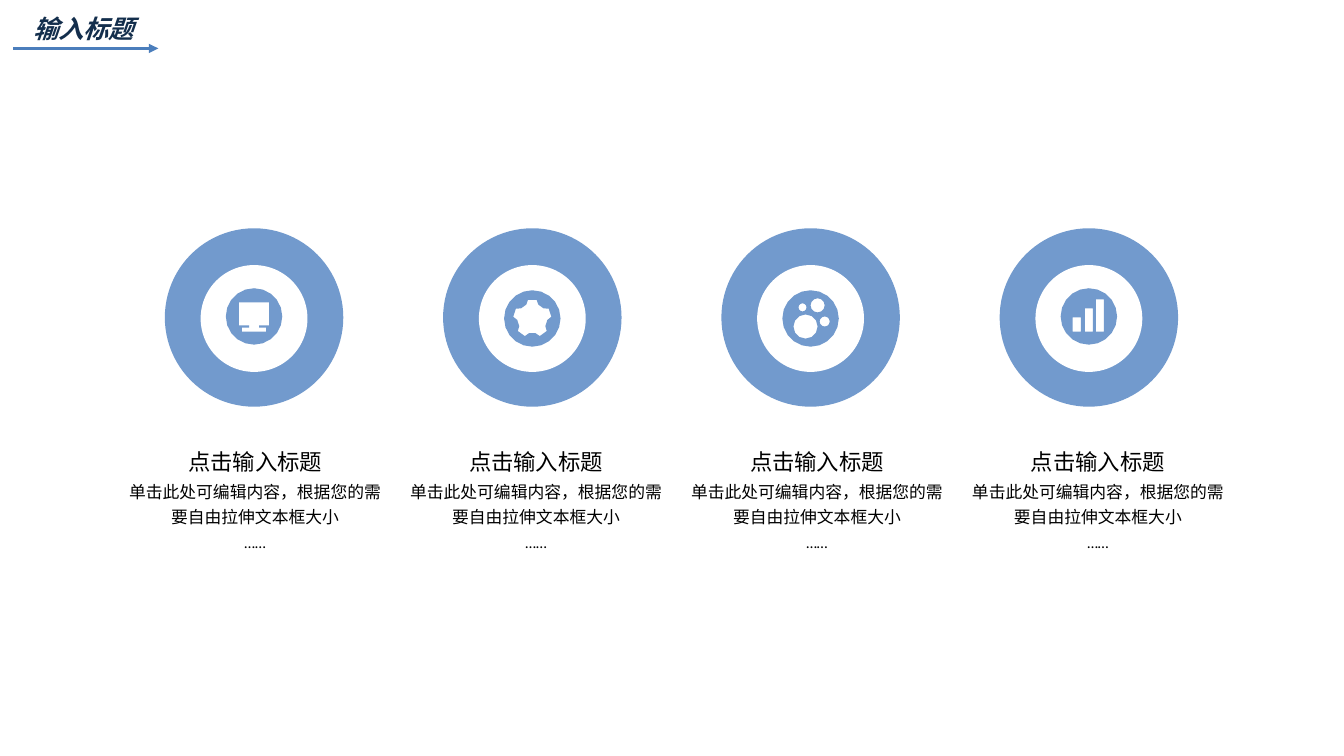
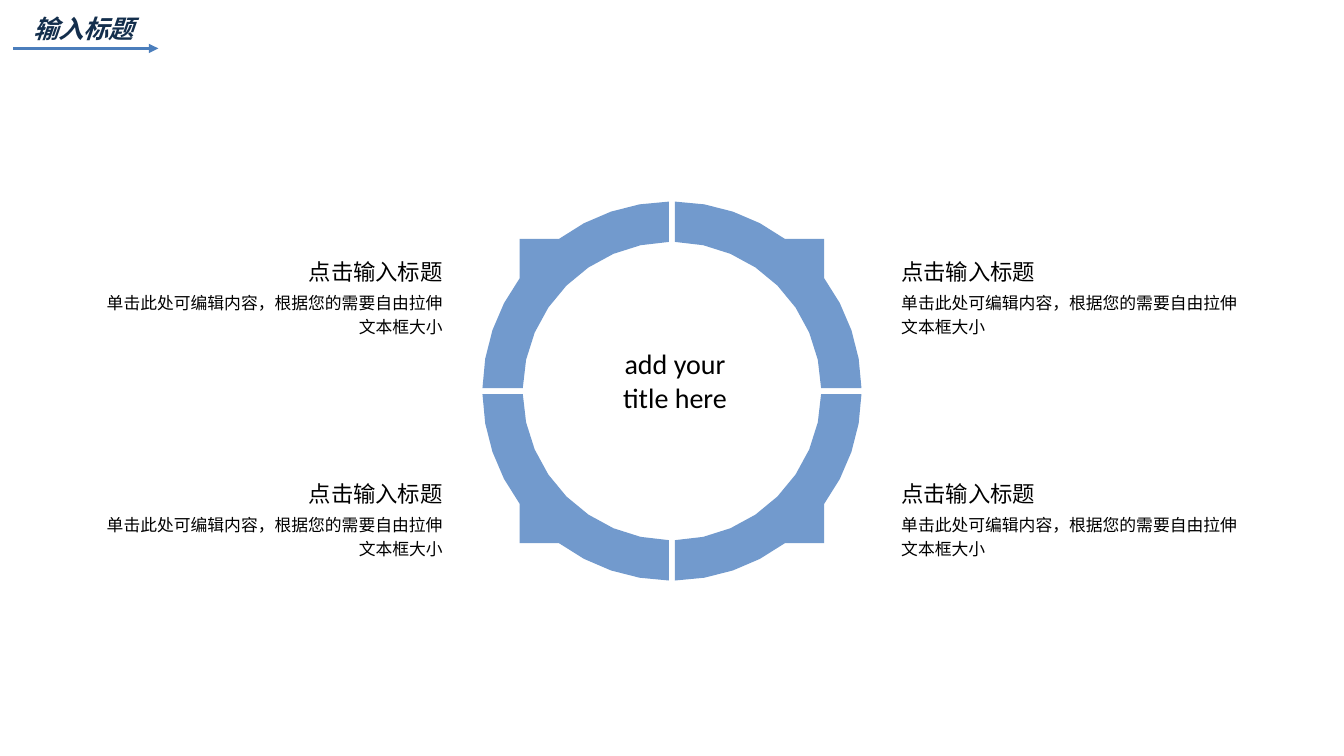
from math import acos, asin, cos, pi, radians, sin

from lxml import etree
from pptx import Presentation
from pptx.dml.color import RGBColor
from pptx.enum.shapes import MSO_CONNECTOR, MSO_SHAPE as SHAPE
from pptx.enum.text import MSO_ANCHOR, MSO_AUTO_SIZE as AUTO, PP_ALIGN as ALIGN
from pptx.oxml.ns import qn
from pptx.util import Inches, Pt

FONT = "Calibri"
COLORS = {"blue": "729ACD", "white": "FFFFFF", "arrow": "4B7EBC",
          "title": "132E4C", "text": "000000"}

TITLE = "输入标题"
CENTER_TEXT = "add your title here"
# Each paragraph is (text, size).
ENTRY = [("点击输入标题", 16),
         ("单击此处可编辑内容，根据您的需要自由拉伸文本框大小", 12)]
ENTRY_MORE = ENTRY + [("……", 11)]

# Icon measures are offsets from the badge center.
MONITOR_HALF = [(0.15, -0.14), (0.15, 0.09), (0.05, 0.09), (0.05, 0.11),
                (0.12, 0.11), (0.12, 0.15)]
BUBBLES = [(-0.08, -0.11, 0.04), (-0.05, 0.08, 0.12),
           (0.07, -0.13, 0.07), (0.14, 0.03, 0.05)]
BAR_LEFTS, BAR_TOPS = (-0.16, -0.04, 0.07), (0.01, -0.08, -0.17)
BAR_WIDTH, BAR_BOTTOM = 0.08, 0.15

# Each column is (icon, badge center height).
COLUMNS = [("monitor", 3.14), ("gear", 3.16), ("bubbles", 3.16),
           ("bars", 3.14)]

SLIDE_WIDTH, SLIDE_HEIGHT = 13.33, 7.5
RING_X, RING_Y = SLIDE_WIDTH / 2, 3.88
RING_OUTER, RING_INNER, RING_CORNER, RING_GAP = 1.88, 1.48, 1.51, 0.03


def rgb(name):
    return RGBColor.from_string(COLORS[name])


def paint(shape, color):
    shape.shadow.inherit = False
    shape.fill.solid()
    shape.fill.fore_color.rgb = rgb(color)
    shape.line.fill.background()


def add_disc(shapes, x, y, diameter, color):
    disc = shapes.add_shape(
        SHAPE.OVAL, Inches(x - diameter / 2), Inches(y - diameter / 2),
        Inches(diameter), Inches(diameter))
    paint(disc, color)


def add_outline(shapes, x, y, contours, color):
    """Draw closed contours around (x, y); inner ones become holes."""
    placed = [[(Inches(x + dx), Inches(y + dy)) for dx, dy in contour]
              for contour in contours]
    builder = shapes.build_freeform(*placed[0][0])
    for index, contour in enumerate(placed):
        if index:
            builder.move_to(*contour[0])
        builder.add_line_segments(contour[1:], close=True)
    paint(builder.convert_to_shape(), color)


def add_span(para, text, size, color="text"):
    span = para.add_run()
    span.text = text
    span.font.name = FONT
    span.font.size = Pt(size)
    span.font.color.rgb = rgb(color)
    return span


def add_text(page, left, top, width, height, lines, align,
             inset=True, spacing=1.2):
    box = page.shapes.add_textbox(Inches(left), Inches(top),
                                  Inches(width), Inches(height))
    frame = box.text_frame
    frame.word_wrap = True
    frame.auto_size = AUTO.SHAPE_TO_FIT_TEXT
    if not inset:
        frame.margin_left = frame.margin_right = 0
        frame.margin_top = frame.margin_bottom = 0
    for index, (text, size) in enumerate(lines):
        para = frame.add_paragraph() if index else frame.paragraphs[0]
        para.alignment = align
        para.line_spacing = spacing
        if index:
            para.space_before = Pt(size * 0.2)
        add_span(para, text, size)


def add_page(deck):
    """Add a slide with the shared title and the arrow under it."""
    page = deck.slides.add_slide(deck.slide_layouts[5])
    arrow = page.shapes.add_connector(
        MSO_CONNECTOR.STRAIGHT, Inches(0.13), Inches(0.48),
        Inches(1.57), Inches(0.48))
    arrow.line.color.rgb = rgb("arrow")
    arrow.line.width = Pt(2.25)
    line = arrow.line._get_or_add_ln()
    etree.SubElement(line, qn("a:tailEnd"), type="triangle")
    etree.SubElement(arrow._element.spPr, qn("a:effectLst"))

    title = page.shapes.title
    title.left, title.top = Inches(0.23), Inches(0.08)
    title.width, title.height = Inches(1.34), Inches(0.4)
    frame = title.text_frame
    frame.auto_size = AUTO.SHAPE_TO_FIT_TEXT
    frame.vertical_anchor = MSO_ANCHOR.TOP
    frame.word_wrap = True
    para = frame.paragraphs[0]
    para.alignment = ALIGN.LEFT
    span = add_span(para, TITLE, 18, "title")
    span.font.bold = span.font.italic = True
    return page


def arc(radius, start, end, steps):
    """Points of an arc, with angles measured from straight up."""
    angles = [start + (end - start) * step / steps
              for step in range(steps + 1)]
    return [(radius * sin(angle), -radius * cos(angle)) for angle in angles]


def circle(x, y, radius, sides):
    points = arc(radius, 0, 2 * pi, sides)[:-1]
    return [(x + dx, y + dy) for dx, dy in points]


def gear(teeth=5):
    tooth = [(0.15, -23.5), (0.19, -13), (0.19, 13), (0.15, 23.5)]
    turns = [(radius, radians(360 / teeth * index + angle))
             for index in range(teeth) for radius, angle in tooth]
    return [(radius * sin(turn), -radius * cos(turn))
            for radius, turn in turns]


def bar(left, top):
    right = left + BAR_WIDTH
    return [(left, top), (right, top), (right, BAR_BOTTOM),
            (left, BAR_BOTTOM)]


def icon_contours(icon):
    if icon == "monitor":
        return [MONITOR_HALF + [(-x, y) for x, y in reversed(MONITOR_HALF)]]
    if icon == "gear":
        return [gear()]
    if icon == "bubbles":
        return [circle(*bubble, sides=12) for bubble in BUBBLES]
    return [bar(left, top) for left, top in zip(BAR_LEFTS, BAR_TOPS)]


def quadrant():
    """Upper right quarter of the ring with its square corner."""
    outer_trim = asin(RING_GAP / RING_OUTER)
    inner_trim = asin(RING_GAP / RING_INNER)
    notch = acos(RING_CORNER / RING_OUTER)
    return (arc(RING_OUTER, outer_trim, notch, 4)
            + [(RING_CORNER, -RING_CORNER)]
            + arc(RING_OUTER, pi / 2 - notch, pi / 2 - outer_trim, 4)
            + arc(RING_INNER, pi / 2 - inner_trim, inner_trim, 8))


def build_columns(deck):
    page = add_page(deck)
    for index, (icon, badge_y) in enumerate(COLUMNS):
        x = 2.52 + 2.76 * index
        shapes = page.shapes.add_group_shape().shapes
        add_disc(shapes, x, 3.15, 1.77, "blue")
        add_disc(shapes, x, 3.16, 1.06, "white")
        badge = [circle(0, 0, 0.28, sides=20)] + icon_contours(icon)
        add_outline(shapes, x, badge_y, badge, "blue")
    pitch = (9.58 - 1.22) / (len(COLUMNS) - 1)
    for index in range(len(COLUMNS)):
        add_text(page, 1.22 + pitch * index, 4.39, 2.62, 1.11,
                 ENTRY_MORE, ALIGN.CENTER, inset=False)


def build_ring(deck):
    page = add_page(deck)
    for side in (1, -1):
        for level in (1, -1):
            quarter = [(side * x, level * y) for x, y in quadrant()]
            add_outline(page.shapes, RING_X, RING_Y, [quarter], "blue")
    add_text(page, 5.87, 3.39, 1.65, 0.77, [(CENTER_TEXT, 20)],
             ALIGN.CENTER, spacing=1.0)
    for left, align in ((0.81, ALIGN.RIGHT), (8.84, ALIGN.LEFT)):
        for top in (2.46, 4.66):
            add_text(page, left, top, 3.68, 0.95, ENTRY, align)


def main():
    deck = Presentation()
    deck.slide_width = Inches(SLIDE_WIDTH)
    deck.slide_height = Inches(SLIDE_HEIGHT)
    build_columns(deck)
    build_ring(deck)
    deck.save("out.pptx")


if __name__ == "__main__":
    main()
